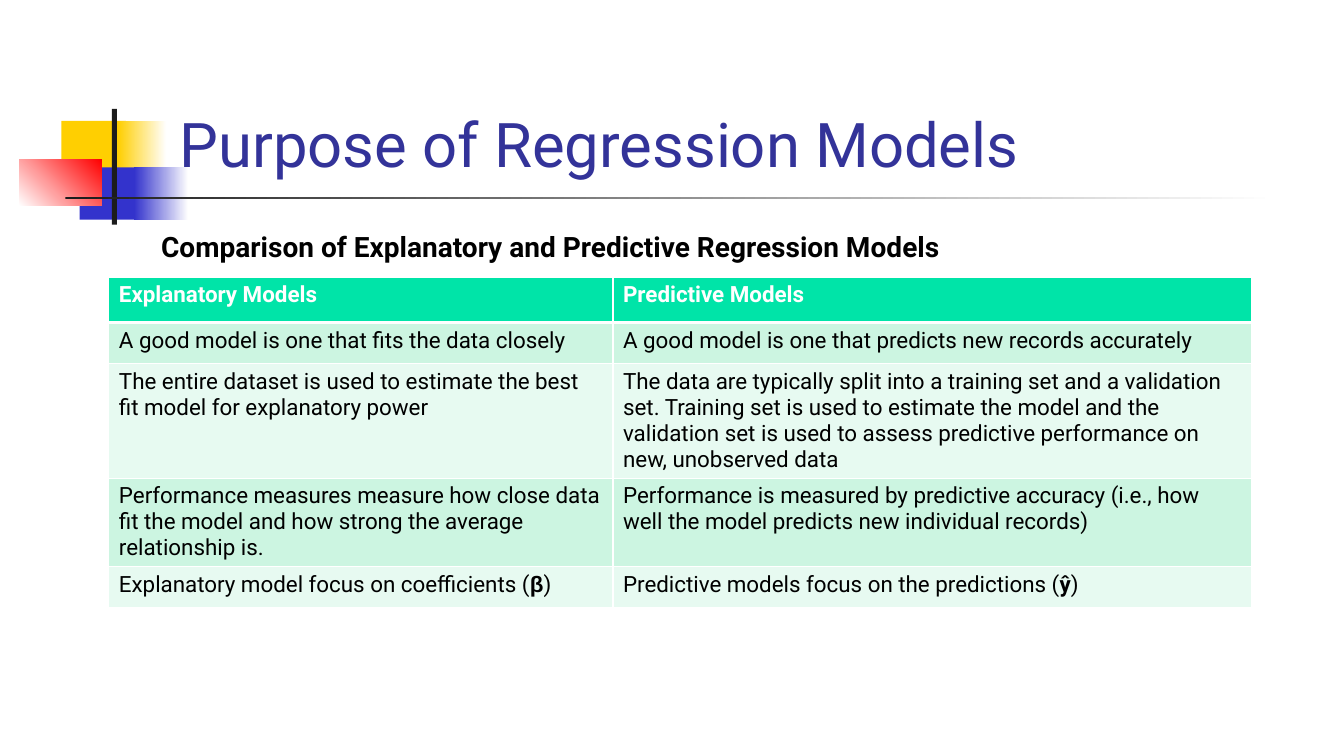
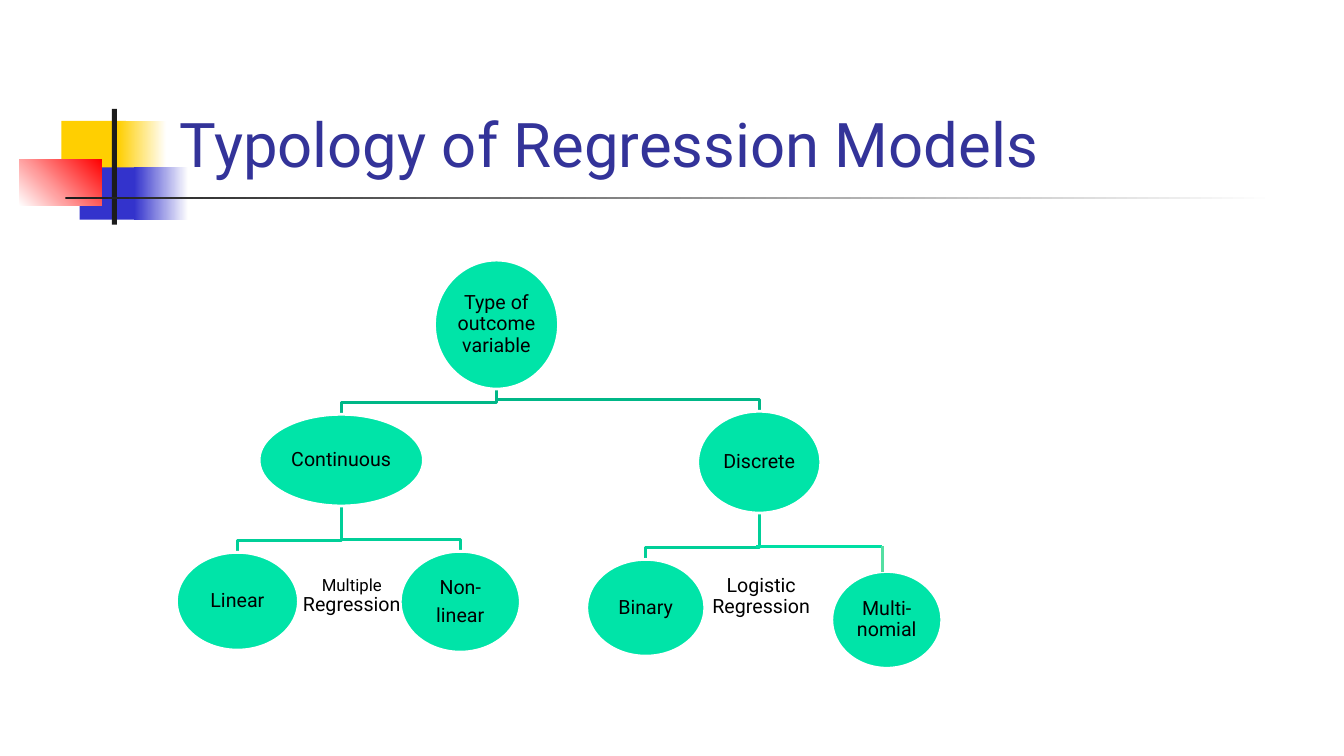
"""Build two slides on the purpose and typology of regression models."""
from lxml.etree import SubElement
from pptx import Presentation
from pptx.dml.color import RGBColor
from pptx.enum.shapes import MSO_CONNECTOR, MSO_SHAPE
from pptx.enum.text import MSO_ANCHOR, MSO_AUTO_SIZE, PP_ALIGN
from pptx.oxml.ns import qn
from pptx.util import Inches, Pt

FONT = "Roboto"
COLORS = {
    "title": "333399", "yellow": "FFCF01", "blue": "3333CC", "red": "FF0000",
    "dark": "1C1C1C", "white": "FFFFFF", "black": "000000",
    "green": "00E4A8", "band": "CCF5E1", "pale": "E7FAF1",
    "upper": "00B787", "lower": "00CF98", "arm": "00DFA4", "drop": "54DFA2",
}


def rgb(name):
    return RGBColor.from_string(COLORS[name])


def add_run(p, text, size, color="black", bold=False, font=FONT):
    r = p.add_run()
    r.text = text
    r.font.name = font
    r.font.size = Pt(size)
    r.font.bold = bold
    r.font.color.rgb = rgb(color)


prs = Presentation()
prs.slide_width = Inches(13.33)
prs.slide_height = Inches(7.5)
layout = prs.slide_layouts[5]

for ph in list(layout.placeholders)[1:]:
    layout.shapes.element.remove(ph.element)
ph = layout.placeholders[0]
ph.left, ph.top, ph.width, ph.height = map(Inches, (1.68, 0.23, 11.36, 1.6))

slides = []
for title in ("Purpose of Regression Models", "Typology of Regression Models"):
    s = prs.slides.add_slide(layout)
    tf = s.shapes.title.text_frame
    tf.auto_size = MSO_AUTO_SIZE.NONE
    tf.vertical_anchor = MSO_ANCHOR.BOTTOM
    p = tf.paragraphs[0]
    p.alignment = PP_ALIGN.LEFT
    add_run(p, title, 44, "title")
    slides.append(s)
table_slide, tree_slide = slides

DECOR = [
    (0.61, 1.2, 0.64, 0.52, ["yellow"], 0),
    (1.17, 1.2, 0.48, 0.52, ["yellow", "white"], 0),
    (0.79, 1.66, 0.62, 0.52, ["blue"], 0),
    (1.33, 1.66, 0.54, 0.52, ["blue", "white"], 0),
    (0.19, 1.58, 0.82, 0.46, ["white", "red"], 45),
    (1.11, 1.08, 0.05, 1.15, ["dark"], 0),
    (0.65, 1.95, 12, 0.03, ["dark", "white"], 0),
]
decor = []
for *box, fills, angle in DECOR:
    sp = table_slide.shapes.add_shape(MSO_SHAPE.RECTANGLE, *map(Inches, box))
    sp.shadow.inherit = False
    sp.line.fill.background()
    if len(fills) == 1:
        sp.fill.solid()
        sp.fill.fore_color.rgb = rgb(fills[0])
    else:
        sp.fill.gradient()
        sp.fill.gradient_angle = angle
        for stop, name in zip(sp.fill.gradient_stops, fills):
            stop.color.rgb = rgb(name)
    decor.append(sp)
for sp in decor:
    layout.shapes.element.append(sp.element)

ROWS = [
    (0.45, "Explanatory Models", "Predictive Models"),
    (0.41, "A good model is one that fits the data closely",
     "A good model is one that predicts new records accurately"),
    (1.13, "The entire dataset is used to estimate the best fit model for "
     "explanatory power",
     "The data are typically split into a training set and a validation set. "
     "Training set is used to estimate the model and the validation set is "
     "used to assess predictive performance on new, unobserved data"),
    (0.87, "Performance measures measure how close data fit the model and how "
     "strong the average relationship is.",
     "Performance is measured by predictive accuracy (i.e., how well the model "
     "predicts new individual records)"),
    (0.41, "Explanatory model focus on coefficients (|β|)",
     "Predictive models focus on the predictions (|ŷ|)"),
]
table = table_slide.shapes.add_table(
    len(ROWS), 2, Inches(1.08), Inches(2.75), Inches(11.33), Inches(3.27)).table
table.columns[0].width = Inches(5)
table.columns[1].width = Inches(6.33)
for i, (height, *texts) in enumerate(ROWS):
    table.rows[i].height = Inches(height)
    head = i == 0
    for j, text in enumerate(texts):
        cell = table.cell(i, j)
        p = cell.text_frame.paragraphs[0]
        for k, part in enumerate(text.split("|")):
            add_run(p, part, 16, "white" if head else "black", head or k == 1,
                    "Arial" if part == "β" else FONT)
        tcPr = cell._tc.get_or_add_tcPr()
        for side in ("L", "R", "T", "B"):
            thick = (head and side == "B") or (i == 1 and side == "T")
            ln = SubElement(tcPr, qn(f"a:ln{side}"), w=str(Pt(3 if thick else 1)))
            fill = SubElement(ln, qn("a:solidFill"))
            SubElement(fill, qn("a:srgbClr"), val=COLORS["white"])
        cell.fill.solid()
        cell.fill.fore_color.rgb = rgb("green" if head else ("pale", "band")[i % 2])

tb = table_slide.shapes.add_textbox(
    Inches(1.5), Inches(2.23), Inches(10.25), Inches(0.44))
tb.text_frame.word_wrap = True
add_run(tb.text_frame.paragraphs[0],
        "Comparison of Explanatory and Predictive Regression Models", 20, bold=True)

NODES = {
    "root": (["Type of outcome variable"], 4.31, 2.58, 1.23, 1.28),
    "continuous": (["Continuous"], 2.57, 4.11, 1.63, 0.91),
    "discrete": (["Discrete"], 6.92, 4.08, 1.22, 1.01),
    "linear": (["Linear"], 1.75, 5.48, 1.21, 0.97),
    "nonlinear": (["Non-", "linear"], 3.97, 5.47, 1.19, 1),
    "binary": (["Binary"], 5.82, 5.55, 1.17, 0.96),
    "multinomial": (["Multi-nomial"], 8.25, 5.67, 1.09, 0.96),
}
BRANCHES = [
    ("discrete", "binary", "lower"), ("root", "discrete", "upper"),
    ("continuous", "nonlinear", "lower"), ("continuous", "linear", "lower"),
    ("root", "continuous", "upper"),
]
for parent, child, color in BRANCHES:
    _, x, y, w, h = NODES[parent]
    _, cx, cy, cw, _ = NODES[child]
    x1, x2, bend = x + w / 2, cx + cw / 2, cy - 0.12
    fb = tree_slide.shapes.build_freeform(Inches(x1), Inches(y + h))
    fb.add_line_segments(
        [(Inches(a), Inches(b)) for a, b in ((x1, bend), (x2, bend), (x2, cy))],
        close=False)
    sp = fb.convert_to_shape()
    sp.shadow.inherit = False
    sp.fill.background()
    sp.line.color.rgb = rgb(color)
    sp.line.width = Pt(2)

labels = []
for lines, *box in NODES.values():
    sp = tree_slide.shapes.add_shape(MSO_SHAPE.OVAL, *map(Inches, box))
    sp.shadow.inherit = False
    sp.fill.solid()
    sp.fill.fore_color.rgb = rgb("green")
    sp.line.color.rgb = rgb("white")
    sp.line.width = Pt(2)
    labels.append((sp, 0, [[(line, 14)] for line in lines]))

NOTES = [
    (2.86, 1.26, [("Multiple ", 12), ("Regression", 14)]),
    (7, 1.1, [("Logistic Regression", 14)]),
]
for x, w, runs in NOTES:
    tb = tree_slide.shapes.add_textbox(
        Inches(x), Inches(5.52), Inches(w), Inches(0.79))
    labels.append((tb, 0.05, [runs]))

for sp, inset, paragraphs in labels:
    tf = sp.text_frame
    tf.word_wrap = True
    tf.vertical_anchor = MSO_ANCHOR.MIDDLE
    tf.margin_left = tf.margin_right = Inches(inset)
    tf.margin_top = tf.margin_bottom = Inches(inset)
    for i, runs in enumerate(paragraphs):
        p = tf.add_paragraph() if i else tf.paragraphs[0]
        p.alignment = PP_ALIGN.CENTER
        p.line_spacing = 0.9
        p.space_after = Pt(5)
        for text, size in runs:
            add_run(p, text, size)

for x1, y1, x2, y2, color in ((7.5, 5.42, 8.75, 5.42, "arm"),
                              (8.75, 5.42, 8.75, 5.67, "drop")):
    cxn = tree_slide.shapes.add_connector(
        MSO_CONNECTOR.STRAIGHT, *map(Inches, (x1, y1, x2, y2)))
    cxn.line.color.rgb = rgb(color)
    cxn.line.width = Pt(2.25)
    SubElement(cxn.element.spPr, qn("a:effectLst"))

prs.save("out.pptx")
